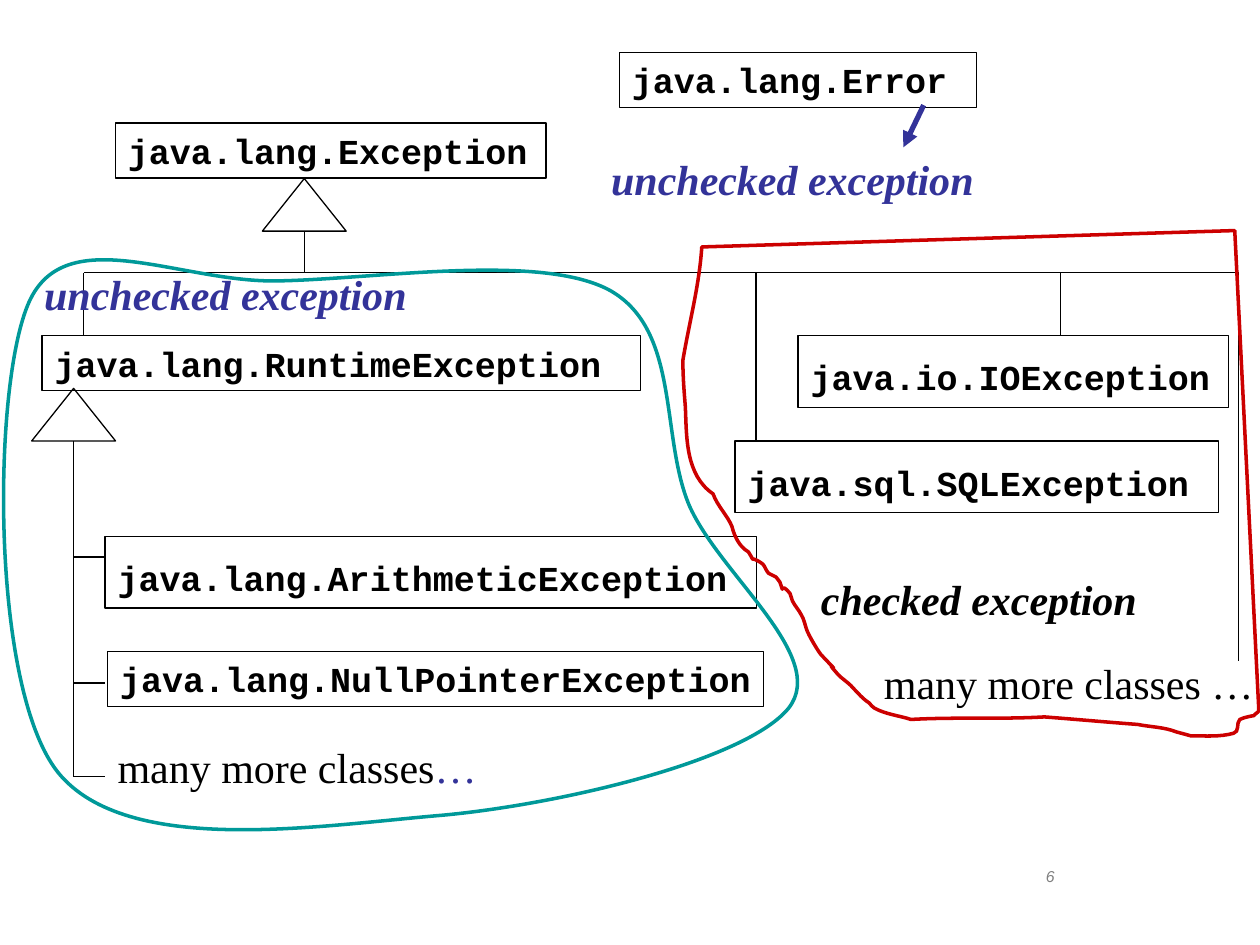
"""Build a slide showing the Java exception hierarchy with checked and unchecked groups."""
import pptx
import pptx.dml.color
import pptx.enum.shapes
import pptx.enum.text
import pptx.oxml
import pptx.oxml.ns
import pptx.util

Cm = pptx.util.Cm
Pt = pptx.util.Pt
COLORS = {"black": "000000", "indigo": "333399", "gray": "808080", "teal": "009999", "red": "CC0000"}
RGB = {name: pptx.dml.color.RGBColor.from_string(value) for name, value in COLORS.items()}
RECTANGLE = pptx.enum.shapes.MSO_SHAPE.RECTANGLE
TRIANGLE = pptx.enum.shapes.MSO_SHAPE.FLOWCHART_EXTRACT
STRAIGHT = pptx.enum.shapes.MSO_CONNECTOR.STRAIGHT
NAMESPACE = pptx.oxml.ns.nsdecls("a")

presentation = pptx.Presentation()
presentation.slide_width, presentation.slide_height = Cm(25.4), Cm(19.05)
slide = presentation.slides.add_slide(presentation.slide_layouts[6])


def outline_shape(shape, color="black", width=0.75):
    """Leave the shape unfilled, with a plain line."""
    shape.shadow.inherit = False
    shape.fill.background()
    shape.line.color.rgb = RGB[color]
    shape.line.width = Pt(width)


def add_text(text, *, box, font="Times New Roman", size=24, color="black", bold=False, italic=False,
             align="LEFT", wrap=True, framed=False, tail="", tail_font=None, tail_size=None, tail_color=None):
    """Add a text box, or a framed rectangle, with an optional differently styled tail."""
    position = [Cm(value) for value in box]
    if framed:
        shape = slide.shapes.add_shape(RECTANGLE, *position)
        outline_shape(shape)
    else:
        shape = slide.shapes.add_textbox(*position)
    frame = shape.text_frame
    frame.word_wrap = wrap
    frame.auto_size = pptx.enum.text.MSO_AUTO_SIZE.SHAPE_TO_FIT_TEXT
    frame.vertical_anchor = pptx.enum.text.MSO_ANCHOR.TOP
    paragraph = frame.paragraphs[0]
    paragraph.alignment = getattr(pptx.enum.text.PP_ALIGN, align)
    parts = [(text, font, size, color, bold)]
    if tail:
        parts.append((tail, tail_font or font, tail_size or size, tail_color or color, False))
    for part, name, points, shade, heavy in parts:
        run = paragraph.add_run()
        run.text = part
        run.font.name, run.font.size = name, Pt(points)
        run.font.bold, run.font.italic = heavy, italic
        run.font.color.rgb = RGB[shade]


class_boxes = [
    ("java.lang.Exception", (2.33, 2.48, 8.68, 1.11), {}),
    ("java.lang.Error", (12.49, 1.06, 7.2, 1.11), {}),
    ("java.lang.RuntimeException", (0.85, 6.77, 12.07, 1.11), {}),
    ("java.sql.SQLException", (14.82, 8.89, 9.74, 1.45), {"tail": " ", "tail_size": 28}),
    ("java.io.IOException", (16.09, 6.77, 8.68, 1.45), {"tail": " ", "tail_size": 28}),
    ("java.lang.ArithmeticException", (2.12, 10.81, 13.13, 1.45),
     {"tail": " ", "tail_size": 28, "tail_font": "Times New Roman"}),
    ("java.lang.NullPointerException", (2.17, 13.13, 13.23, 1.11), {"wrap": False}),
]
for name, box, options in class_boxes:
    add_text(name, box=box, font="Courier New", size=20, bold=True, framed=True, **options)

for left, top in [(5.29, 3.6), (0.64, 7.83)]:
    outline_shape(slide.shapes.add_shape(TRIANGLE, Cm(left), Cm(top), Cm(1.69), Cm(1.06)))

bus, trunk, branch_end = 5.5, 1.48, 2.12
lines = [(6.14, 4.65, 6.14, bus), (1.69, bus, 21.38, bus), (21.38, bus, 24.97, bus), (trunk, 8.89, trunk, 15.66)]
lines += [(x, bus, x, bottom) for x, bottom in [(1.69, 6.77), (15.24, 8.89), (21.38, 6.77), (24.97, 13.33)]]
lines += [(trunk, y, branch_end, y) for y in (11.23, 13.77, 15.66)]
error_arrow = (18.62, 2.12, 18.21, 2.97)
for ends in lines + [error_arrow]:
    is_arrow = ends == error_arrow
    connector = slide.shapes.add_connector(STRAIGHT, *[Cm(value) for value in ends])
    connector.line.color.rgb = RGB["indigo" if is_arrow else "black"]
    connector.line.width = Pt(3 if is_arrow else 0.75)
    properties = connector._element.spPr
    if is_arrow:
        arrowhead = pptx.oxml.parse_xml(f'<a:tailEnd {NAMESPACE} type="triangle"/>')
        connector.line._get_or_add_ln().append(arrowhead)
    properties.append(pptx.oxml.parse_xml(f"<a:effectLst {NAMESPACE}/>"))

for text, box, color in [
    ("checked exception", (16.3, 11.43, 6.88, 1.27), "black"),
    ("unchecked exception", (0.64, 5.29, 7.83, 1.27), "indigo"),
    ("unchecked exception", (12.07, 2.96, 7.83, 1.27), "indigo"),
]:
    add_text(text, box=box, color=color, bold=True, italic=True, wrap=False)
add_text("many more classes …", box=(17.57, 13.13, 8.47, 1.27))
add_text("many more classes", box=(2.12, 14.82, 10.37, 1.27), tail="…", tail_color="indigo")
add_text("6", box=(18.21, 17.35, 5.92, 1.32), font="Arial", size=9, color="gray", italic=True, align="CENTER")

unchecked_curves = [
    (142, 224, 52, 175, 23, 240), (-6, 305, -8, 545, 46, 613), (101, 681, 255, 655, 352, 647),
    (448, 638, 593, 603, 626, 562), (658, 521, 571, 456, 547, 401), (524, 346, 540, 263, 485, 231),
    (430, 200, 296, 222, 219, 223),
]
checked_curves = [
    (555, 227, 547, 256, 542, 286), (542, 299, 543, 311, 544, 323), (545, 347, 544, 377, 566, 392),
    (569, 401, 578, 410, 581, 418), (583, 426, 587, 434, 594, 438), (601, 449, 593, 440, 603, 446),
    (608, 449, 606, 450, 610, 455), (612, 456, 614, 457, 616, 458), (617, 459, 618, 461, 619, 462),
    (624, 476, 617, 459, 627, 471), (628, 473, 628, 475, 629, 477), (631, 481, 634, 484, 636, 488),
    (638, 491, 639, 496, 640, 499), (641, 503, 651, 520, 653, 521), (673, 542, 651, 519, 664, 534),
    (668, 539, 673, 541, 677, 546), (682, 551, 684, 554, 690, 558), (691, 559, 692, 561, 694, 562),
    (703, 567, 714, 568, 723, 571), (759, 569, 793, 571, 829, 569), (855, 571, 877, 573, 903, 575),
    (913, 577, 924, 577, 934, 581), (938, 582, 945, 584, 945, 584), (957, 584, 968, 585, 979, 582),
    (984, 581, 981, 574, 984, 571), (988, 569, 995, 568, 995, 568), (999, 564, 999, 566, 999, 562),
]
for start, curves, corners, color in [
    ((219, 223), unchecked_curves, [], "teal"),
    ((557, 196), checked_curves, [(980, 183), (557, 196)], "red"),
]:
    points = [curve[index:index + 2] for curve in curves for index in (0, 2, 4)]
    builder = slide.shapes.build_freeform(*start, scale=Cm(0.0254))
    builder.add_line_segments(points + corners, close=True)
    group_outline = builder.convert_to_shape()
    outline_shape(group_outline, color, 2)
    segments = group_outline._element.findall(".//" + pptx.oxml.ns.qn("a:lnTo"))
    for index in range(0, len(points), 3):
        curve = pptx.oxml.parse_xml(f"<a:cubicBezTo {NAMESPACE}/>")
        segments[index].addprevious(curve)
        for segment in segments[index:index + 3]:
            curve.append(segment[0])
            segment.getparent().remove(segment)

presentation.save("out.pptx")
